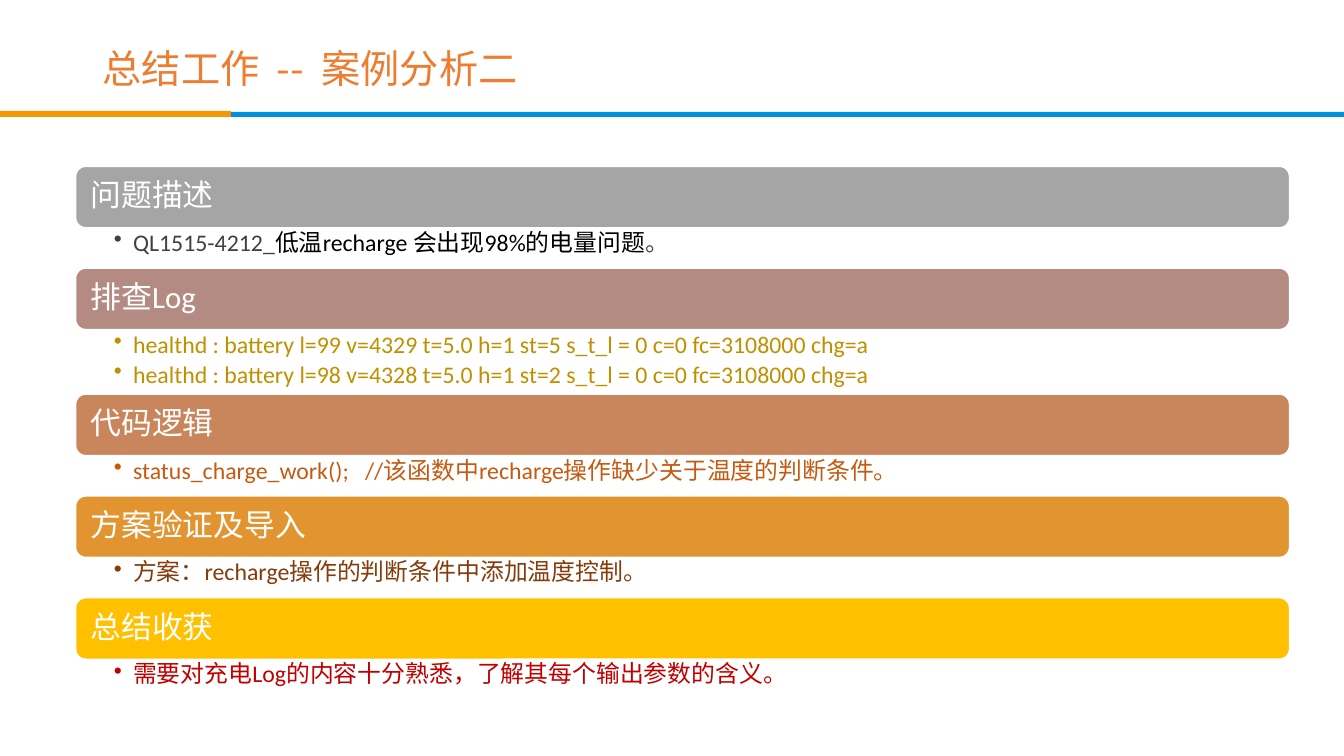
from dataclasses import dataclass

from lxml.etree import SubElement
from pptx import Presentation
from pptx.dml.color import RGBColor
from pptx.enum.shapes import MSO_SHAPE as Shape
from pptx.enum.text import MSO_ANCHOR as Anchor, MSO_AUTO_SIZE as AutoSize, PP_ALIGN as Align
from pptx.oxml.ns import qn
from pptx.util import Pt

PX = 9144  # EMU per px, 100 px to the inch
LATIN, CJK = "Calibri", "Noto Sans CJK SC"
LEFT, TOP, WIDTH, BAR_HEIGHT = 75, 165, 1204, 61
INDENT = 19


@dataclass
class Section:
    heading: str
    fill: str
    bullets: list[list[tuple[str, str]]]  # paragraphs of (text, colour) runs

    @property
    def body_height(self) -> int:
        return 16 + 24 * len(self.bullets)


LOG = "healthd : battery l={} v={} t=5.0 h=1 st={} s_t_l = 0 c=0 fc=3108000 chg=a"
SECTIONS = [
    Section("问题描述", "A5A5A5", [[("QL1515-4212_", "404040"),
                                ("低温recharge 会出现98%的电量问题", "000000"),
                                ("。", "404040")]]),
    Section("排查Log", "B48B83", [[(LOG.format(99, 4329, 5), "BF9000")],
                                 [(LOG.format(98, 4328, 2), "BF9000")]]),
    Section("代码逻辑", "C9855C",
            [[("status_charge_work();   //该函数中recharge操作缺少关于温度的判断条件。", "C55A11")]]),
    Section("方案验证及导入", "E19430",
            [[("方案：recharge操作的判断条件中添加温度控制。", "843C0B")]]),
    Section("总结收获", "FFC000",
            [[("需要对充电Log的内容十分熟悉，了解其每个输出参数的含义。", "C00000")]]),
]


def rgb(value: str) -> RGBColor:
    return RGBColor.from_string(value)


def box(left: int, top: int, width: int, height: int) -> tuple[int, ...]:
    return tuple(value * PX for value in (left, top, width, height))


def add_run(paragraph, text: str, size: int, color: str, font: str = LATIN) -> None:
    run = paragraph.add_run()
    run.text = text
    run.font.size = Pt(size)
    run.font.color.rgb = rgb(color)
    run.font.name = font
    SubElement(run._r.get_or_add_rPr(), qn("a:ea"), typeface=CJK)
    paragraph.line_spacing = 0.9
    paragraph.alignment = Align.LEFT


def set_margins(frame, left: int, top: int, right: int, bottom: int) -> None:
    frame.margin_left, frame.margin_top, frame.margin_right, frame.margin_bottom = box(
        left, top, right, bottom)
    frame.word_wrap = True


def add_bar(slide, kind: Shape, place: tuple[int, ...], fill: str):
    shape = slide.shapes.add_shape(kind, *place)
    shape.shadow.inherit = False
    shape.fill.solid()
    shape.fill.fore_color.rgb = rgb(fill)
    shape.line.fill.background()
    return shape


def add_heading(slide, section: Section, top: int) -> None:
    bar = add_bar(slide, Shape.ROUNDED_RECTANGLE,
                  box(LEFT, top, WIDTH, BAR_HEIGHT), section.fill)
    bar.line.color.rgb = rgb("FFFFFF")
    bar.line.width = Pt(1)
    frame = bar.text_frame
    set_margins(frame, 12, 9, 12, 9)
    frame.vertical_anchor = Anchor.MIDDLE
    add_run(frame.paragraphs[0], section.heading, 22, "FFFFFF")


def add_body(slide, section: Section, top: int) -> None:
    frame = slide.shapes.add_textbox(*box(LEFT, top, WIDTH, section.body_height)).text_frame
    set_margins(frame, 38, 3, 17, 3)
    for index, runs in enumerate(section.bullets):
        paragraph = frame.add_paragraph() if index else frame.paragraphs[0]
        paragraph.level = 1
        for text, color in runs:
            add_run(paragraph, text, 17, color)
        paragraph.space_after = Pt(3)
        # Bullet with a hanging indent
        properties = paragraph._p.get_or_add_pPr()
        properties.set("marL", str(INDENT * PX))
        properties.set("indent", str(-INDENT * PX))
        SubElement(properties, qn("a:buChar"), char="•")


def main() -> None:
    presentation = Presentation()
    presentation.slide_width, presentation.slide_height = 1333 * PX, 750 * PX
    slide = presentation.slides.add_slide(presentation.slide_layouts[5])

    # Title
    title = slide.shapes.title
    title.left, title.top, title.width, title.height = box(92, 40, 1090, 60)
    title.text_frame.auto_size = AutoSize.NONE
    title.text_frame.vertical_anchor = Anchor.MIDDLE
    add_run(title.text_frame.paragraphs[0], "总结工作  --  案例分析二", 28, "ED7D31", CJK)

    # Rule under the title
    add_bar(slide, Shape.RECTANGLE, box(0, 111, 1333, 5), "0091DB")
    add_bar(slide, Shape.RECTANGLE, box(0, 110, 229, 6), "F39800")

    # Stacked sections
    top = TOP
    for section in SECTIONS:
        add_heading(slide, section, top)
        add_body(slide, section, top + BAR_HEIGHT)
        top += BAR_HEIGHT + section.body_height

    presentation.save("out.pptx")


if __name__ == "__main__":
    main()
